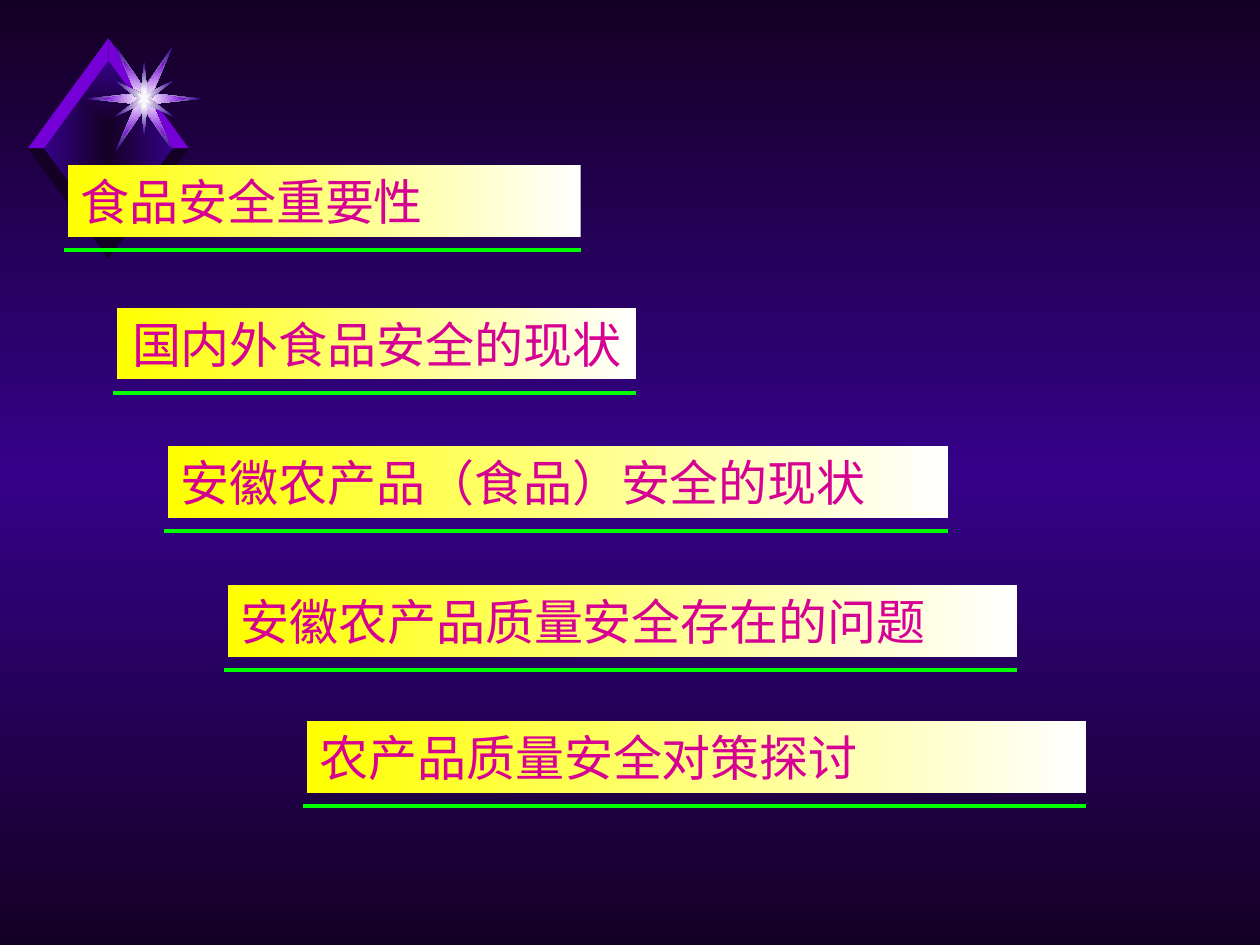
from itertools import product
from typing import NamedTuple

from lxml.etree import SubElement
from pptx import Presentation
from pptx.dml.color import RGBColor
from pptx.enum.shapes import MSO_CONNECTOR, MSO_SHAPE
from pptx.enum.text import MSO_ANCHOR, PP_ALIGN
from pptx.oxml.ns import qn
from pptx.util import Pt

NIGHT, INDIGO, VIOLET = "140024", "350189", "7500D7"
WHITE, YELLOW, GREEN, MAGENTA = "FFFFFF", "FFFF00", "00FF00", "D60093"

BAR_HEIGHT = 41
RULE_DROP = 48.5    # from the top of a bar to its underline
RULE_OVERHANG = 2.5  # underline starts left of its bar

Point = tuple[float, float]


class Topic(NamedTuple):
    text: str
    left: float
    top: float
    width: float
    align: PP_ALIGN = PP_ALIGN.LEFT


class Star(NamedTuple):
    """One quadrant of a star, from the vertical axis to the horizontal one."""
    quadrant: list[Point]
    colors: list[str]


TOPICS = [
    Topic("食品安全重要性", 38.9, 94.3, 293),
    Topic("国内外食品安全的现状", 67, 175.9, 296.5, PP_ALIGN.CENTER),
    Topic("安徽农产品（食品）安全的现状", 96.2, 254.9, 445.5),
    Topic("安徽农产品质量安全存在的问题", 130.3, 334.5, 450.8),
    Topic("农产品质量安全对策探讨", 175.5, 412, 445.2),
]

DIAMOND_CENTER = (61.9, 84.8)
FACE = (37.4, 51)
OUTER = (46, 63)
INNER = (36.8, 50.3)

STAR_CENTER = (82.4, 56.4)
STARS = [
    Star([(0, 6), (16.2, 29.9), (4.8, 3), (32.8, 0)], [WHITE, INDIGO]),
    Star([(0, 6), (11.9, 21.7), (4.8, 3), (24, 0)], [WHITE, VIOLET]),
    Star([(0, 20.9), (1.8, 3), (16.9, 10.4), (3.3, 0)], [WHITE, INDIGO]),
    Star([(0, 5), (0.7, 1.6), (4, 2.9), (1.4, 0)], ["F9F9F9"]),
]


def rgb(color: str) -> RGBColor:
    return RGBColor.from_string(color)


def set_gradient(fill, owner, colors: list[str], angle: int | None = None) -> None:
    """Spread colors evenly: along angle, or outward from the middle without one."""
    fill.gradient()
    gradient = owner.find(".//" + qn("a:gradFill"))
    for child in list(gradient):
        gradient.remove(child)
    stops = SubElement(gradient, qn("a:gsLst"))
    for i, color in enumerate(colors):
        position = round(100000 * i / (len(colors) - 1))
        stop = SubElement(stops, qn("a:gs"), pos=str(position))
        SubElement(stop, qn("a:srgbClr"), val=color)
    if angle is None:
        shade = SubElement(gradient, qn("a:path"), path="rect")
        middle = dict.fromkeys("ltrb", "50000")
        SubElement(shade, qn("a:fillToRect"), **middle)
    else:
        SubElement(gradient, qn("a:lin"), ang=str(angle * 60000), scaled="0")


def draw_polygon(shapes, center: Point, offsets: list[Point],
                 colors: list[str]) -> None:
    points = [(Pt(center[0] + x), Pt(center[1] + y)) for x, y in offsets]
    builder = shapes.build_freeform(*points[0])
    builder.add_line_segments(points[1:], close=True)
    polygon = builder.convert_to_shape()
    polygon.shadow.inherit = False
    polygon.line.fill.background()
    if len(colors) == 1:
        polygon.fill.solid()
        polygon.fill.fore_color.rgb = rgb(colors[0])
    else:
        set_gradient(polygon.fill, polygon.element, colors)


def mirror(quadrant: list[Point]) -> list[Point]:
    """Complete a quadrant outline to a closed, doubly symmetric one."""
    right = [(x, -y) for x, y in quadrant] + [(x, y) for x, y in quadrant[-2::-1]]
    return right + [(-x, y) for x, y in right[-2:0:-1]]


def draw_ornament(slide) -> None:
    shapes = slide.shapes.add_group_shape().shapes
    face = mirror([(0, FACE[1]), (FACE[0], 0)])
    draw_polygon(shapes, DIAMOND_CENTER, face, [NIGHT, INDIGO])
    for down, right in product((-1, 1), (1, -1)):
        edge = [(0, down * OUTER[1]), (right * OUTER[0], 0),
                (right * INNER[0], 0), (0, down * INNER[1])]
        draw_polygon(shapes, DIAMOND_CENTER, edge, [VIOLET if down < 0 else NIGHT])
    for star in STARS:
        draw_polygon(shapes, STAR_CENTER, mirror(star.quadrant), star.colors)


def draw_topic(slide, topic: Topic) -> None:
    shapes = slide.shapes.add_group_shape().shapes
    bar = shapes.add_shape(MSO_SHAPE.RECTANGLE, Pt(topic.left), Pt(topic.top),
                           Pt(topic.width), Pt(BAR_HEIGHT))
    bar.shadow.inherit = False
    bar.line.fill.background()
    set_gradient(bar.fill, bar.element, [WHITE, YELLOW], angle=180)

    frame = bar.text_frame
    frame.text = topic.text
    frame.word_wrap = True
    frame.vertical_anchor = MSO_ANCHOR.MIDDLE
    paragraph = frame.paragraphs[0]
    paragraph.alignment = topic.align
    font = paragraph.runs[0].font
    font.name, font.size = "Times New Roman", Pt(28)
    font.color.rgb = rgb(MAGENTA)

    rule_y = Pt(topic.top + RULE_DROP)
    rule = shapes.add_connector(MSO_CONNECTOR.STRAIGHT,
                                Pt(topic.left - RULE_OVERHANG), rule_y,
                                Pt(topic.left + topic.width), rule_y)
    rule.line.color.rgb = rgb(GREEN)
    rule.line.width = Pt(2.5)
    SubElement(rule.element.spPr, qn("a:effectLst"))


def main() -> None:
    deck = Presentation()
    deck.slide_width, deck.slide_height = Pt(720), Pt(540)
    slide = deck.slides.add_slide(deck.slide_layouts[6])
    set_gradient(slide.background.fill, slide.element,
                 [NIGHT, INDIGO, NIGHT], angle=90)
    draw_ornament(slide)
    for topic in TOPICS:
        draw_topic(slide, topic)
    deck.save("out.pptx")


if __name__ == "__main__":
    main()
